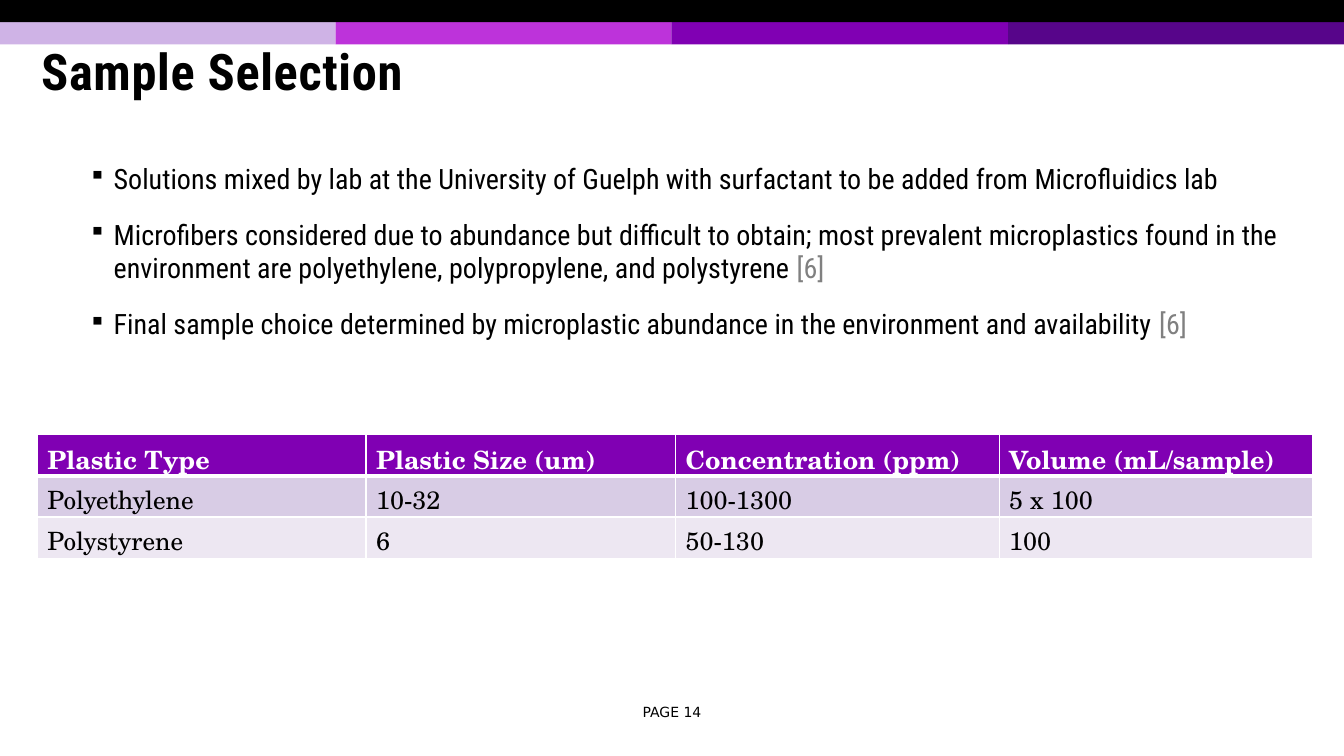
from dataclasses import dataclass

from pptx import Presentation
from pptx.dml.color import RGBColor
from pptx.enum.shapes import MSO_SHAPE
from pptx.enum.text import MSO_ANCHOR, PP_ALIGN
from pptx.oxml import parse_xml
from pptx.oxml.ns import nsdecls
from pptx.util import Pt

RECT = MSO_SHAPE.RECTANGLE
TOP, MIDDLE = MSO_ANCHOR.TOP, MSO_ANCHOR.MIDDLE
CENTER = PP_ALIGN.CENTER
SCALE = 9144  # EMU per px, 100 px to the inch
WIDTH, HEIGHT = 1333, 750
BAR = 22


@dataclass(frozen=True)
class Theme:
    black: str = "000000"
    white: str = "FFFFFF"
    cite: str = "808080"
    head: str = "8000B3"
    bands: tuple = ("CFB3E6", "BD33DA", "8000B3", "57058A")
    rows: tuple = ("D8CCE5", "EDE7F2")
    sans: str = "Roboto Condensed"
    serif: str = "TeX Gyre Schola"
    plain: str = "DejaVu Sans"
    title: int = 36
    body: int = 20
    cell: int = 18
    foot: int = 10


THEME = Theme()


@dataclass(frozen=True)
class Box:
    left: int
    top: int
    width: int
    height: int

    def emu(self) -> list:
        return [px * SCALE for px in (self.left, self.top, self.width, self.height)]


@dataclass(frozen=True)
class Style:
    font: str
    size: int
    color: str = THEME.black
    bold: bool = False


@dataclass(frozen=True)
class Point:
    text: str
    cite: str = ""


POINTS = (
    Point("Solutions mixed by lab at the University of Guelph with surfactant "
          "to be added from Microfluidics lab"),
    Point("Microfibers considered due to abundance but difficult to obtain; "
          "most prevalent microplastics found in the environment are "
          "polyethylene, polypropylene, and polystyrene ", "[6]"),
    Point("Final sample choice determined by microplastic abundance in the "
          "environment and availability ", "[6]"),
)
SAMPLES = (
    ("Plastic Type", "Plastic Size (um)", "Concentration (ppm)", "Volume (mL/sample)"),
    ("Polyethylene", "10-32", "100-1300", "5 x 100"),
    ("Polystyrene", "6", "50-130", "100"),
)
COLUMNS = (326, 307, 321, 311)
ROW = 41


def add_bar(slide, box: Box, color: str) -> None:
    bar = slide.shapes.add_shape(RECT, *box.emu())
    bar.shadow.inherit = False
    bar.fill.solid()
    bar.fill.fore_color.rgb = RGBColor.from_string(color)
    bar.line.fill.background()


def add_run(para, text: str, style: Style):
    run = para.add_run()
    run.text = text
    look = {"name": style.font, "size": Pt(style.size), "bold": style.bold}
    for key, value in look.items():
        setattr(run.font, key, value)
    run.font.color.rgb = RGBColor.from_string(style.color)
    return run


def add_frame(slide, box: Box, anchor=TOP):
    frame = slide.shapes.add_textbox(*box.emu()).text_frame
    frame.word_wrap = True
    frame.vertical_anchor = anchor
    return frame


def add_bullet(para) -> None:
    props = para._p.get_or_add_pPr()
    props.set("marL", str(75 * SCALE))
    props.set("indent", str(-25 * SCALE))
    for part in (f'<a:buClr {nsdecls("a")}><a:srgbClr val="{THEME.black}"/></a:buClr>',
                 f'<a:buSzPct {nsdecls("a")} val="85000"/>',
                 f'<a:buChar {nsdecls("a")} char="▪"/>'):
        props.append(parse_xml(part))


def add_points(slide, box: Box) -> None:
    frame = add_frame(slide, box)
    for i, point in enumerate(POINTS):
        para = frame.add_paragraph() if i else frame.paragraphs[0]
        add_bullet(para)
        para.space_before = Pt(8 if i else 0)
        para.space_after = Pt(8)
        add_run(para, point.text, Style(THEME.sans, THEME.body))
        if point.cite:
            add_run(para, point.cite, Style(THEME.sans, THEME.body, THEME.cite))


def add_edges(cell, base: int) -> None:
    """Draw white cell borders, with the top and bottom widths in points."""
    props = cell._tc.get_or_add_tcPr()
    widths = {"lnL": 1, "lnR": 1, "lnT": 1, "lnB": base}
    for i, (side, width) in enumerate(widths.items()):
        props.insert(i, parse_xml(
            f'<a:{side} {nsdecls("a")} w="{Pt(width)}"><a:solidFill>'
            f'<a:srgbClr val="{THEME.white}"/></a:solidFill></a:{side}>'))


def add_samples(slide, left: int, top: int) -> None:
    box = Box(left, top, sum(COLUMNS), ROW * len(SAMPLES))
    table = slide.shapes.add_table(len(SAMPLES), len(COLUMNS), *box.emu()).table
    table.first_row = table.horz_banding = False
    for column, width in zip(table.columns, COLUMNS):
        column.width = width * SCALE
    for r, row in enumerate(SAMPLES):
        head = r == 0
        fill = THEME.head if head else THEME.rows[r - 1]
        color = THEME.white if head else THEME.black
        for c, text in enumerate(row):
            cell = table.cell(r, c)
            cell.fill.solid()
            cell.fill.fore_color.rgb = RGBColor.from_string(fill)
            add_edges(cell, 3 if head else 1)
            add_run(cell.text_frame.paragraphs[0], text,
                    Style(THEME.serif, THEME.cell, color, head))


def main() -> None:
    deck = Presentation()
    deck.slide_width, deck.slide_height = WIDTH * SCALE, HEIGHT * SCALE
    slide = deck.slides.add_slide(deck.slide_layouts[6])

    count = len(THEME.bands)
    stops = [round(i * WIDTH / count) for i in range(count + 1)]
    for left, right, color in zip(stops, stops[1:], THEME.bands):
        add_bar(slide, Box(left, BAR, right - left, BAR), color)
    add_bar(slide, Box(0, 0, WIDTH, BAR), THEME.black)

    title = add_frame(slide, Box(31, 26, 1265, 98), MIDDLE).paragraphs[0]
    title.line_spacing = 0.85
    run = add_run(title, "Sample Selection", Style(THEME.sans, THEME.title, bold=True))
    run.font._element.set("spc", "50")

    add_points(slide, Box(28, 155, 1283, 190))

    page = add_frame(slide, Box(611, 693, 111, 27), MIDDLE).paragraphs[0]
    page.alignment = CENTER
    add_run(page, "PAGE 14", Style(THEME.plain, THEME.foot))

    add_samples(slide, 37, 431)
    deck.save("out.pptx")


if __name__ == "__main__":
    main()
